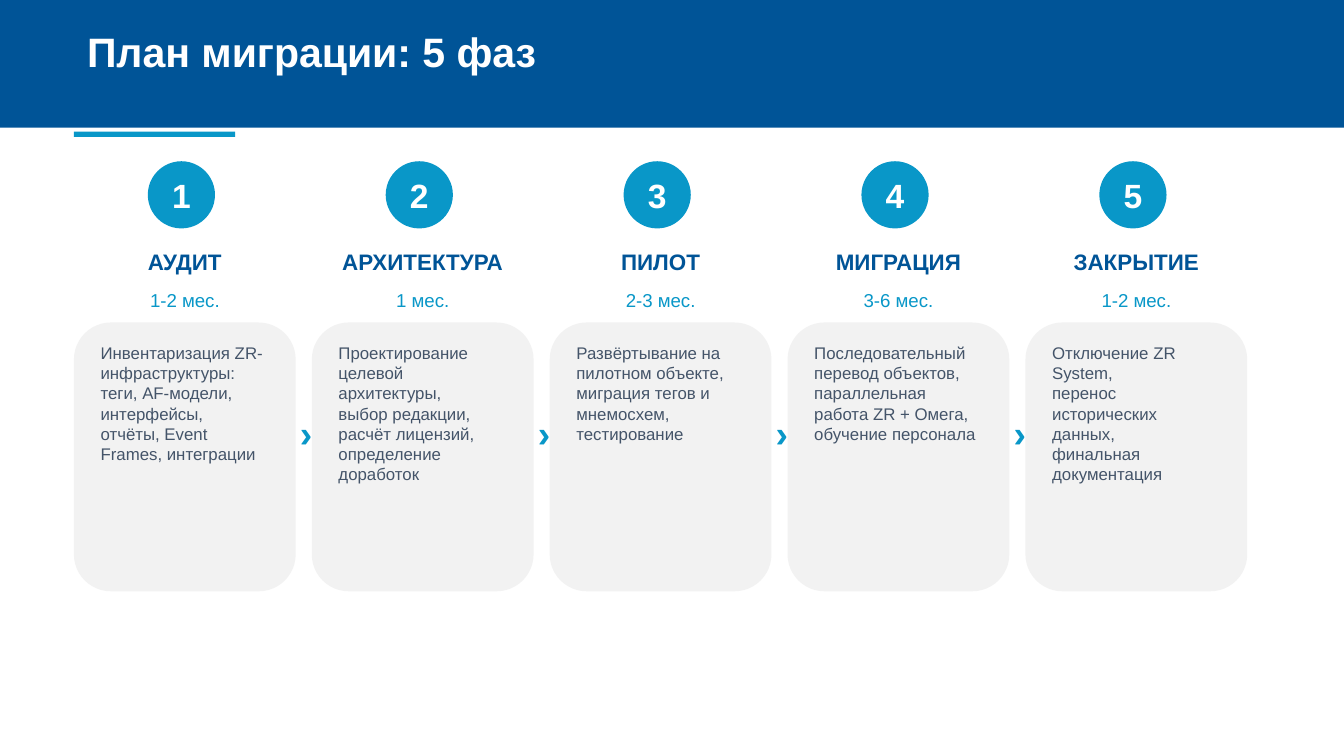
import pptx
import pptx.dml.color
import pptx.enum.shapes
import pptx.enum.text
import pptx.util

Inches = pptx.util.Inches
RGBColor = pptx.dml.color.RGBColor
SHAPES = pptx.enum.shapes.MSO_SHAPE
ALIGN = pptx.enum.text.PP_ALIGN
AUTO_SIZE = pptx.enum.text.MSO_AUTO_SIZE

NAVY = RGBColor(0x00, 0x54, 0x97)
CYAN = RGBColor(0x09, 0x97, 0xC8)
CARD_GRAY = RGBColor(0xF2, 0xF2, 0xF2)
BODY_GRAY = RGBColor(0x44, 0x54, 0x69)
WHITE = RGBColor(0xFF, 0xFF, 0xFF)

SLIDE_WIDTH = 10
SLIDE_HEIGHT = SLIDE_WIDTH * 9 / 16
MARGIN = 0.55
PHASE_TOP = 1.2
PHASE_WIDTH = 1.65
PHASE_GAP = 0.12
CIRCLE_SIZE = 0.5

PHASES = [
    ("АУДИТ", "1-2 мес.",
     "Инвентаризация ZR-инфраструктуры:\nтеги, AF-модели, интерфейсы,\n"
     "отчёты, Event Frames, интеграции"),
    ("АРХИТЕКТУРА", "1 мес.",
     "Проектирование целевой архитектуры,\nвыбор редакции, расчёт лицензий,\n"
     "определение доработок"),
    ("ПИЛОТ", "2-3 мес.",
     "Развёртывание на пилотном объекте,\nмиграция тегов и мнемосхем,\nтестирование"),
    ("МИГРАЦИЯ", "3-6 мес.",
     "Последовательный перевод объектов,\nпараллельная работа ZR + Омега,\n"
     "обучение персонала"),
    ("ЗАКРЫТИЕ", "1-2 мес.",
     "Отключение ZR System,\nперенос исторических данных,\nфинальная документация"),
]


def add_filled_shape(slide, kind, left, top, width, height, color):
    shape = slide.shapes.add_shape(
        kind, Inches(left), Inches(top), Inches(width), Inches(height))
    shape.shadow.inherit = False
    shape.fill.solid()
    shape.fill.fore_color.rgb = color
    shape.line.fill.background()


def add_text(slide, text, left, top, width, height, size, color,
             bold=False, align=ALIGN.CENTER, grow=True):
    """Add a one-paragraph text box; newlines become line breaks."""
    box = slide.shapes.add_textbox(
        Inches(left), Inches(top), Inches(width), Inches(height))
    frame = box.text_frame
    frame.word_wrap = True
    frame.auto_size = AUTO_SIZE.SHAPE_TO_FIT_TEXT if grow else AUTO_SIZE.NONE
    paragraph = frame.paragraphs[0]
    paragraph.text = text
    paragraph.alignment = align
    paragraph.font.name = "Arial"
    paragraph.font.size = pptx.util.Pt(size)
    paragraph.font.bold = bold
    paragraph.font.color.rgb = color


def add_header(slide, width, height):
    add_filled_shape(slide, SHAPES.RECTANGLE, 0, 0, width, height, NAVY)
    add_text(slide, "План миграции: 5 фаз", MARGIN, 0.15, 8.5, height - 0.15,
             22, WHITE, bold=True, align=ALIGN.LEFT, grow=False)
    add_filled_shape(slide, SHAPES.RECTANGLE, MARGIN, height + 0.03, 1.2, 0.04, CYAN)


def add_phase(slide, number, phase, left, top, width):
    name, duration, description = phase
    circle_left = left + width / 3
    add_filled_shape(slide, SHAPES.OVAL, circle_left, top,
                     CIRCLE_SIZE, CIRCLE_SIZE, CYAN)
    add_text(slide, str(number), circle_left, top + 0.05, CIRCLE_SIZE, 0.4,
             18, WHITE, bold=True)
    add_text(slide, name, left, top + 0.6, width, 0.35, 12, NAVY, bold=True)
    add_text(slide, duration, left, top + 0.9, width, 0.25, 10, CYAN)
    add_filled_shape(slide, SHAPES.ROUNDED_RECTANGLE, left, top + 1.2, width, 2,
                     CARD_GRAY)
    add_text(slide, description, left + 0.1, top + 1.3, width - 0.2, 1.8,
             9, BODY_GRAY, align=ALIGN.LEFT)


def add_chevron(slide, left, top):
    add_text(slide, "›", left, top, PHASE_GAP, 0.4, 20, CYAN, bold=True)


def main():
    presentation = pptx.Presentation()
    presentation.slide_width = Inches(SLIDE_WIDTH)
    presentation.slide_height = Inches(SLIDE_HEIGHT)
    slide = presentation.slides.add_slide(presentation.slide_layouts[6])

    add_header(slide, SLIDE_WIDTH, 0.95)
    for index, phase in enumerate(PHASES):
        left = MARGIN + index * (PHASE_WIDTH + PHASE_GAP)
        add_phase(slide, index + 1, phase, left, PHASE_TOP, PHASE_WIDTH)
        if index < len(PHASES) - 1:
            add_chevron(slide, left + PHASE_WIDTH + 0.01, PHASE_TOP + 1.8)

    presentation.save("out.pptx")


if __name__ == "__main__":
    main()
